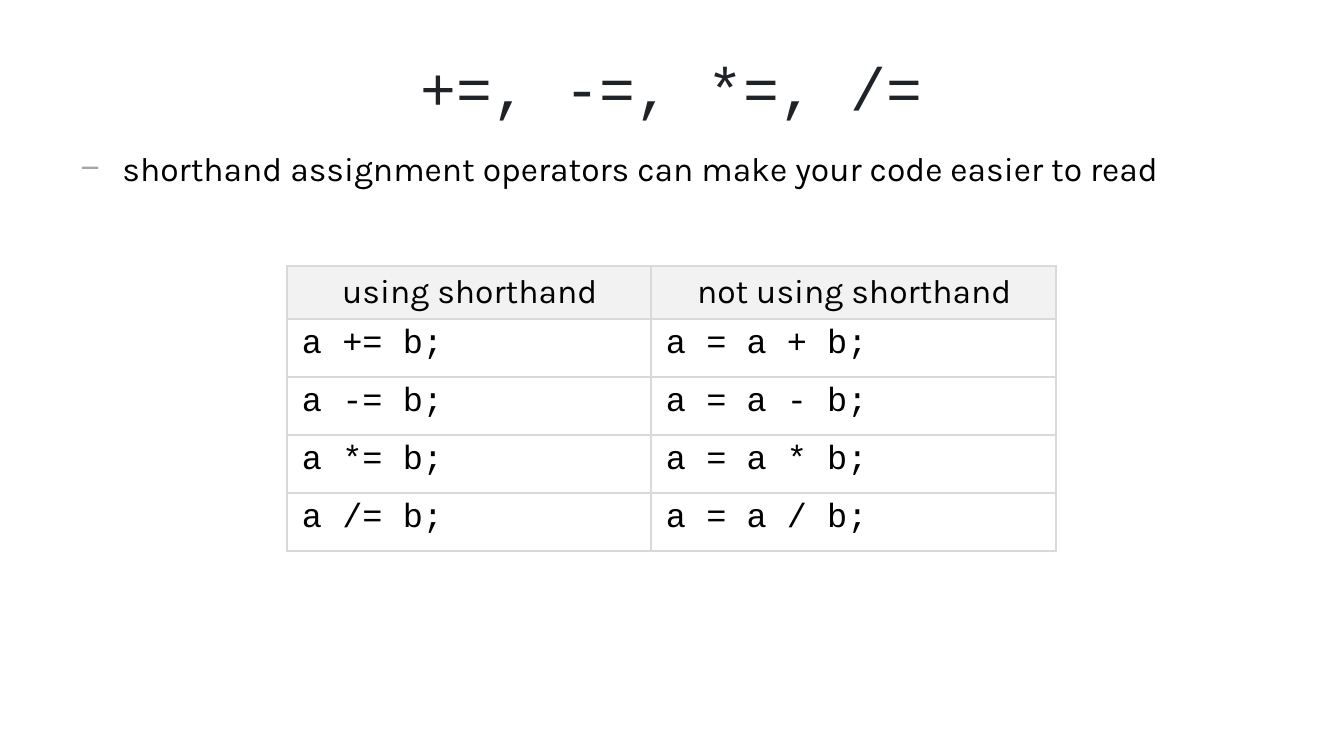
from lxml import etree
from pptx import Presentation
from pptx.dml.color import RGBColor
from pptx.enum.text import MSO_ANCHOR, MSO_AUTO_SIZE, PP_ALIGN
from pptx.oxml.ns import qn
from pptx.util import Pt

MIDDLE, TOP = MSO_ANCHOR.MIDDLE, MSO_ANCHOR.TOP
CENTER, LEFT = PP_ALIGN.CENTER, PP_ALIGN.LEFT
NO_FIT = MSO_AUTO_SIZE.NONE

# Content
TITLE = "+=, -=, *=, /="
POINT = "shorthand assignment operators can make your code easier to read"
ROWS = [
    ("using shorthand", "not using shorthand"),
    ("a += b;", "a = a + b;"),
    ("a -= b;", "a = a - b;"),
    ("a *= b;", "a = a * b;"),
    ("a /= b;", "a = a / b;"),
]

# Look
CODE, SANS = "Courier New", "Karla"
INK = RGBColor(0x1F, 0x23, 0x28)
BLACK = RGBColor(0x00, 0x00, 0x00)
WHITE = RGBColor(0xFF, 0xFF, 0xFF)
HEAD = RGBColor(0xF2, 0xF2, 0xF2)
RULE = RGBColor(0xD9, 0xD9, 0xD9)
DASH = RGBColor(0xA6, 0xA6, 0xA6)

# Places in px
SLIDE = (1344, 756)
TITLE_BOX = (67, 38, 1210, 98)
BODY_BOX = (67, 141, 1210, 599)
GRID_AT = (287, 266)
COLS = (364, 405)
HIGHS = (53,) + (58,) * (len(ROWS) - 1)
HANG = 42
PAD = 15


def px(n):
    return round(n * 914400 / 134.4)


def place(shape, box):
    shape.left, shape.top, shape.width, shape.height = map(px, box)


def style(para, font, size, color, align):
    para.alignment = align
    for run in para.runs:
        run.font.name = font
        run.font.size = Pt(size)
        run.font.color.rgb = color


def solid(parent, tag, color):
    node = etree.SubElement(parent, qn(tag))
    etree.SubElement(node, qn("a:srgbClr"), val=str(color))


def frame(cell):
    props = cell._tc.get_or_add_tcPr()
    for side in ("a:lnL", "a:lnR", "a:lnT", "a:lnB"):
        line = etree.SubElement(props, qn(side), w=str(Pt(1)))
        solid(line, "a:solidFill", RULE)


deck = Presentation()
deck.slide_width, deck.slide_height = map(px, SLIDE)
slide = deck.slides.add_slide(deck.slide_layouts[1])
title, body = slide.placeholders

# Title
place(title, TITLE_BOX)
title.text_frame.text = TITLE
title.text_frame.vertical_anchor = MIDDLE
style(title.text_frame.paragraphs[0], CODE, 32, INK, CENTER)

# Bullet point
place(body, BODY_BOX)
body.text_frame.text = POINT
body.text_frame.auto_size = NO_FIT
para = body.text_frame.paragraphs[0]
style(para, SANS, 18, BLACK, LEFT)
props = para._p.get_or_add_pPr()
props.set("marL", str(px(HANG)))
props.set("indent", str(-px(HANG)))
solid(props, "a:buClr", DASH)
etree.SubElement(props, qn("a:buChar"), char="−")

# Table of operators
box = GRID_AT + (sum(COLS), sum(HIGHS))
grid = slide.shapes.add_table(len(ROWS), len(COLS), *map(px, box)).table
for col, wide in zip(grid.columns, COLS):
    col.width = px(wide)
for r, (row, high) in enumerate(zip(ROWS, HIGHS)):
    grid.rows[r].height = px(high)
    font, fill, align = (CODE, WHITE, LEFT) if r else (SANS, HEAD, CENTER)
    for c, text in enumerate(row):
        cell = grid.cell(r, c)
        cell.text_frame.text = text
        cell.vertical_anchor = TOP
        cell.margin_left = px(PAD)
        style(cell.text_frame.paragraphs[0], font, 18, BLACK, align)
        frame(cell)
        cell.fill.solid()
        cell.fill.fore_color.rgb = fill

# The header style would make the first row bold
grid.first_row = False
grid.horz_banding = False

deck.save("out.pptx")
